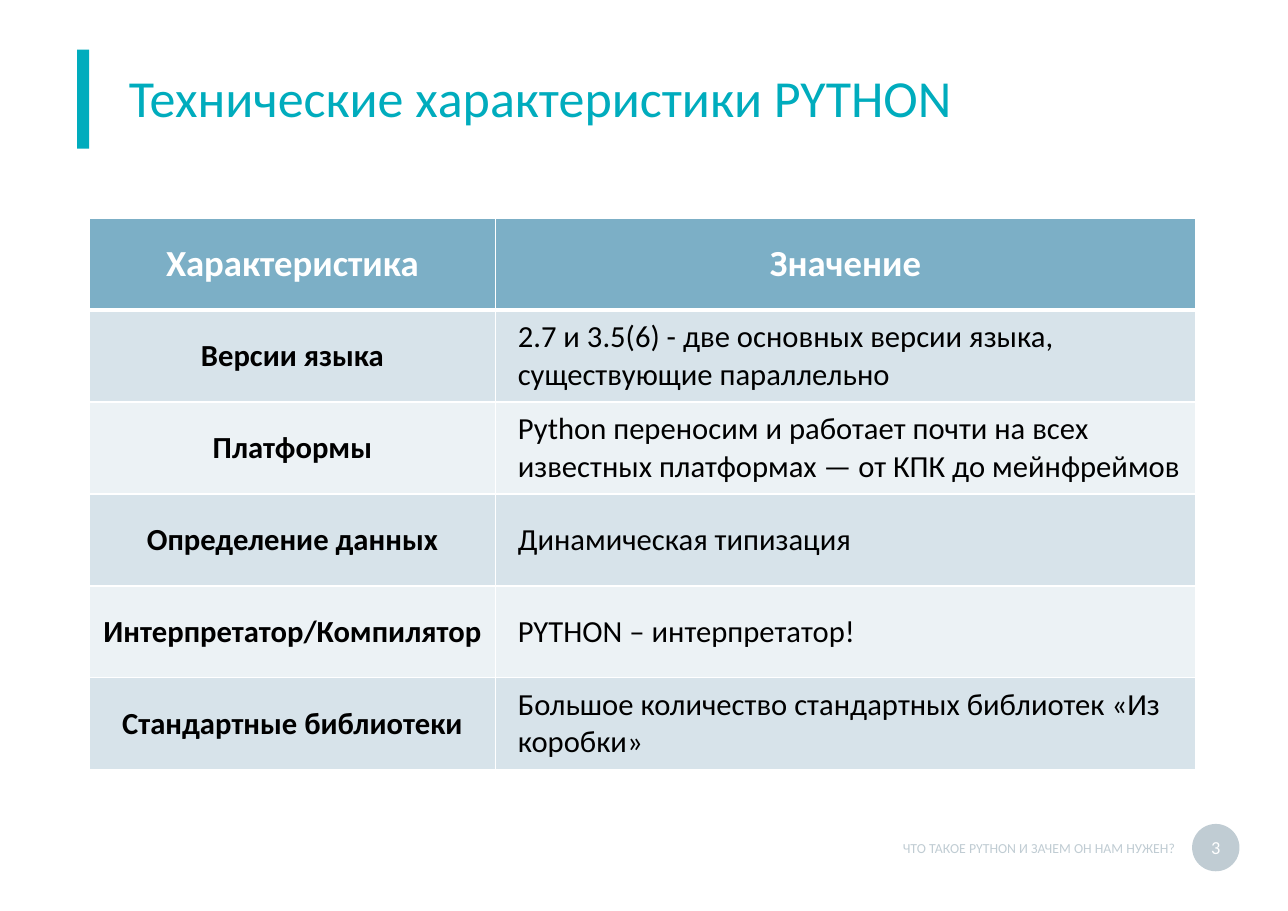
import pptx
import pptx.util
import pptx.dml.color
import pptx.enum.shapes
import pptx.enum.text
import pptx.oxml
import pptx.oxml.ns

Inches = pptx.util.Inches
ALIGN = pptx.enum.text.PP_ALIGN
MIDDLE = pptx.enum.text.MSO_ANCHOR.MIDDLE
SHAPE = pptx.enum.shapes.MSO_SHAPE

FONT = "Calibri"
TEAL, GREY, WHITE, BLACK = "00ACBD", "C0CCD3", "FFFFFF", "000000"
HEADER_FILL = "7CAFC6"
BAND_FILLS = ("D7E3EA", "ECF2F5")

HEADER = ("Характеристика", "Значение")
ROWS = (
    ("Версии языка", "2.7 и 3.5(6) - две основных версии языка, существующие параллельно"),
    ("Платформы", "Python переносим и работает почти на всех\nизвестных платформах — от КПК до мейнфреймов"),
    ("Определение данных", "Динамическая типизация"),
    ("Интерпретатор/Компилятор", "PYTHON – интерпретатор!"),
    ("Стандартные библиотеки", "Большое количество стандартных библиотек «Из коробки»"),
)


def color(value):
    return pptx.dml.color.RGBColor.from_string(value)


def write_text(frame, text, size=20, fill=BLACK, bold=False, align=ALIGN.LEFT, spacing=None, indent=0):
    frame.word_wrap = True
    frame.vertical_anchor = MIDDLE
    frame.text = text
    for paragraph in frame.paragraphs:
        paragraph.alignment = align
        paragraph.line_spacing = spacing
        if indent:
            paragraph._p.get_or_add_pPr().set("marL", str(Inches(indent)))
        for run in paragraph.runs:
            run.font.name = FONT
            run.font.size = pptx.util.Pt(size)
            run.font.bold = bold
            run.font.color.rgb = color(fill)


def set_margins(frame, horizontal, vertical):
    frame.margin_left = frame.margin_right = Inches(horizontal)
    frame.margin_top = frame.margin_bottom = Inches(vertical)


def add_block(slide, kind, left, top, width, height, fill):
    shape = slide.shapes.add_shape(kind, Inches(left), Inches(top), Inches(width), Inches(height))
    shape.shadow.inherit = False
    shape.fill.solid()
    shape.fill.fore_color.rgb = color(fill)
    shape.line.fill.background()


def add_label(slide, left, top, width, height, text, **text_format):
    frame = slide.shapes.add_textbox(Inches(left), Inches(top), Inches(width), Inches(height)).text_frame
    set_margins(frame, 0.1, 0)
    write_text(frame, text, spacing=0.8, **text_format)


def add_footer(slide, left, top, width, height):
    badge = height
    right = left + width
    add_block(slide, SHAPE.OVAL, right - badge, top, badge, badge, GREY)
    add_label(slide, left, top + 0.12, width - badge - 0.06, 0.22,
              "ЧТО ТАКОЕ PYTHON И ЗАЧЕМ ОН НАМ НУЖЕН?", size=9, fill=GREY, align=ALIGN.RIGHT)
    add_label(slide, right - badge - 0.06, top + 0.1, badge + 0.12, 0.26,
              "3", size=12, fill=WHITE, align=ALIGN.CENTER)


def add_title(slide, left, top, width, height):
    add_block(slide, SHAPE.RECTANGLE, left, top + 0.06, 0.11, 0.9, TEAL)
    title = slide.shapes.title
    title.left, title.top = Inches(left + 0.36), Inches(top)
    title.width, title.height = Inches(width - 0.36), Inches(height)
    frame = title.text_frame
    frame.auto_size = pptx.enum.text.MSO_AUTO_SIZE.NONE
    set_margins(frame, 0.11, 0.06)
    write_text(frame, "Технические характеристики PYTHON", size=34, fill=TEAL, spacing=0.82)


def format_cell(cell, fill, top_width, bottom_width):
    properties = cell._tc.get_or_add_tcPr()
    for side, width in (("L", 1), ("R", 1), ("T", top_width), ("B", bottom_width)):
        properties.append(pptx.oxml.parse_xml(
            f'<a:ln{side} {pptx.oxml.ns.nsdecls("a")} w="{pptx.util.Pt(width)}">'
            f'<a:solidFill><a:srgbClr val="{WHITE}"/></a:solidFill></a:ln{side}>'))
    cell.fill.solid()
    cell.fill.fore_color.rgb = color(fill)
    cell.vertical_anchor = MIDDLE


def add_features_table(slide, left, top, width, height):
    records = (HEADER,) + ROWS
    table = slide.shapes.add_table(len(records), 2, Inches(left), Inches(top),
                                   Inches(width), Inches(height)).table
    name_width = 3.69
    table.columns[0].width = Inches(name_width)
    table.columns[1].width = Inches(width - name_width)
    for row_index, record in enumerate(records):
        table.rows[row_index].height = Inches(height / len(records))
        is_header = row_index == 0
        fill = HEADER_FILL if is_header else BAND_FILLS[(row_index - 1) % 2]
        for column_index, text in enumerate(record):
            cell = table.cell(row_index, column_index)
            format_cell(cell, fill, 3 if row_index == 1 else 1, 3 if is_header else 1)
            if is_header:
                text_format = dict(size=24, fill=WHITE, bold=True, align=ALIGN.CENTER)
            elif column_index == 0:
                text_format = dict(bold=True, align=ALIGN.CENTER)
            else:
                text_format = dict(indent=0.1)
            write_text(cell.text_frame, text, **text_format)


def main():
    presentation = pptx.Presentation()
    presentation.slide_width = Inches(11.69)
    presentation.slide_height = Inches(8.27)
    slide = presentation.slides.add_slide(presentation.slide_layouts[5])
    add_footer(slide, 3.08, 7.48, 8.17, 0.43)
    add_title(slide, 0.7, 0.39, 10.62, 1.08)
    add_features_table(slide, 0.81, 1.98, 10.04, 5.01)
    presentation.save("out.pptx")


if __name__ == "__main__":
    main()
